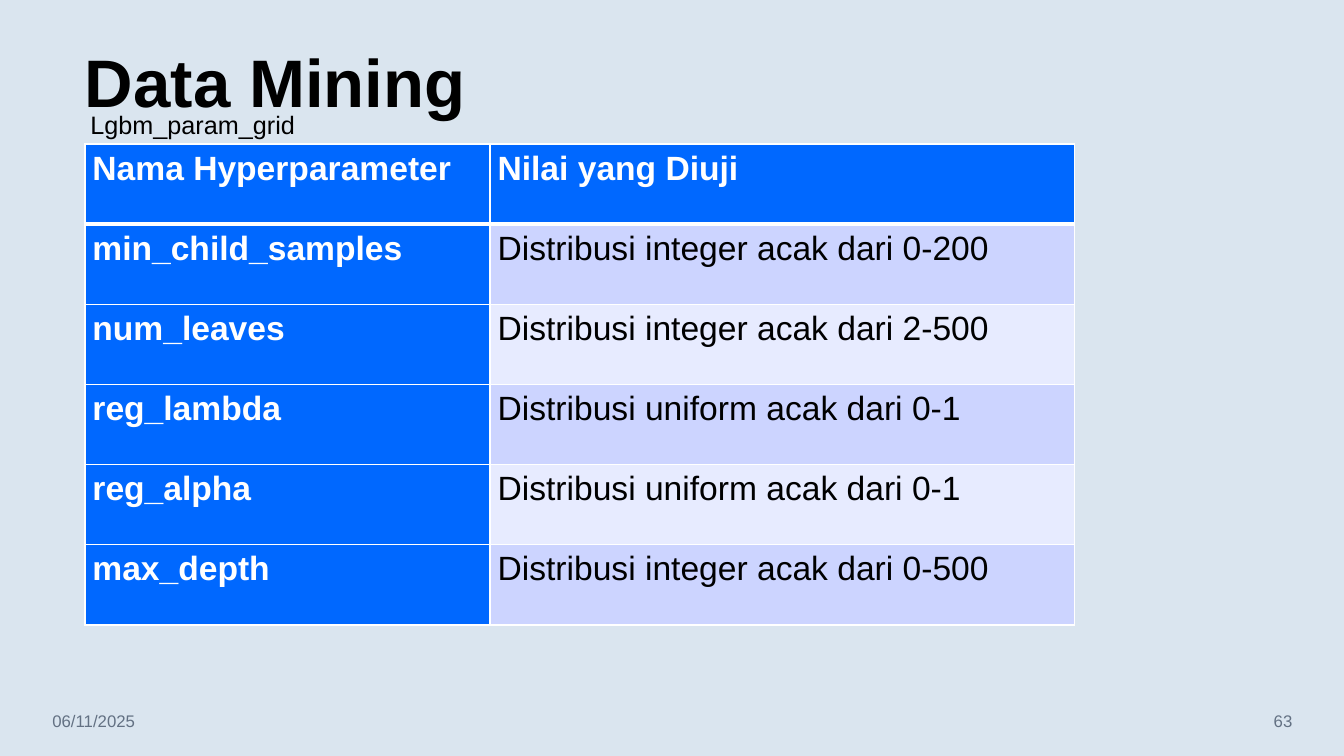
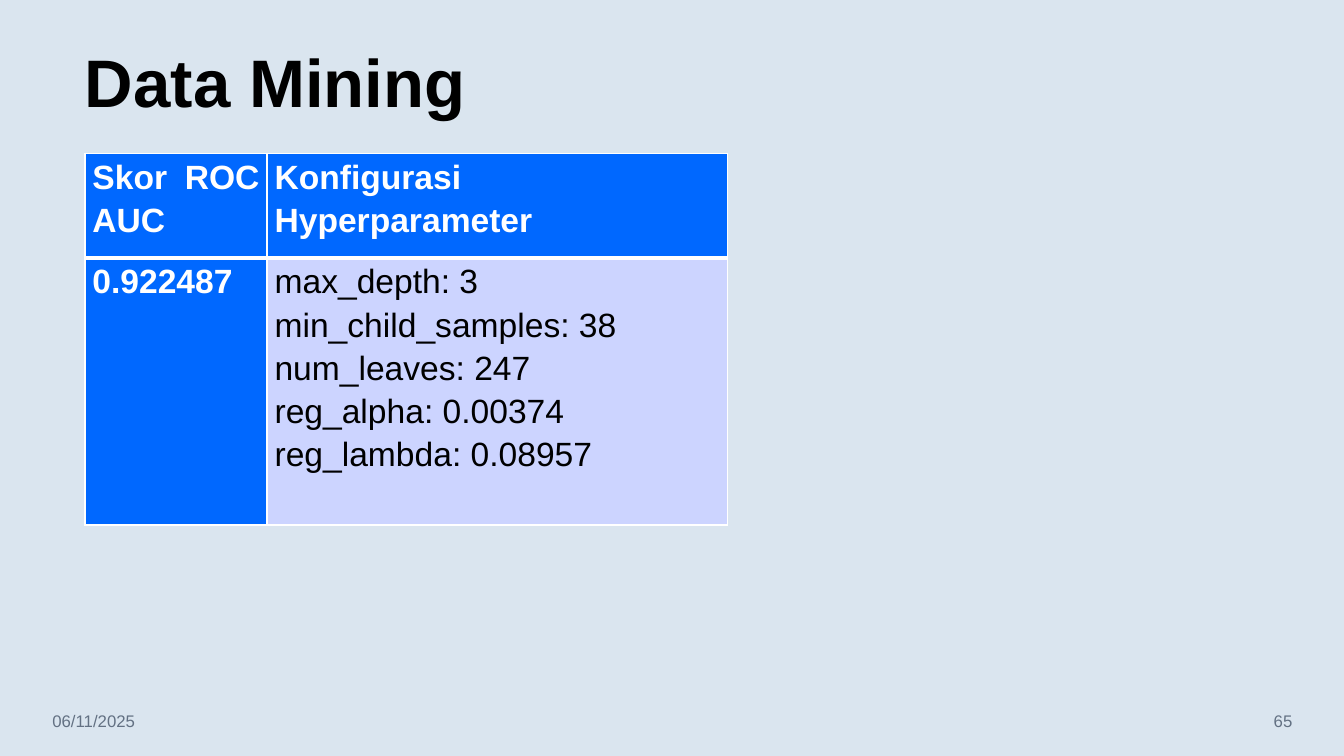
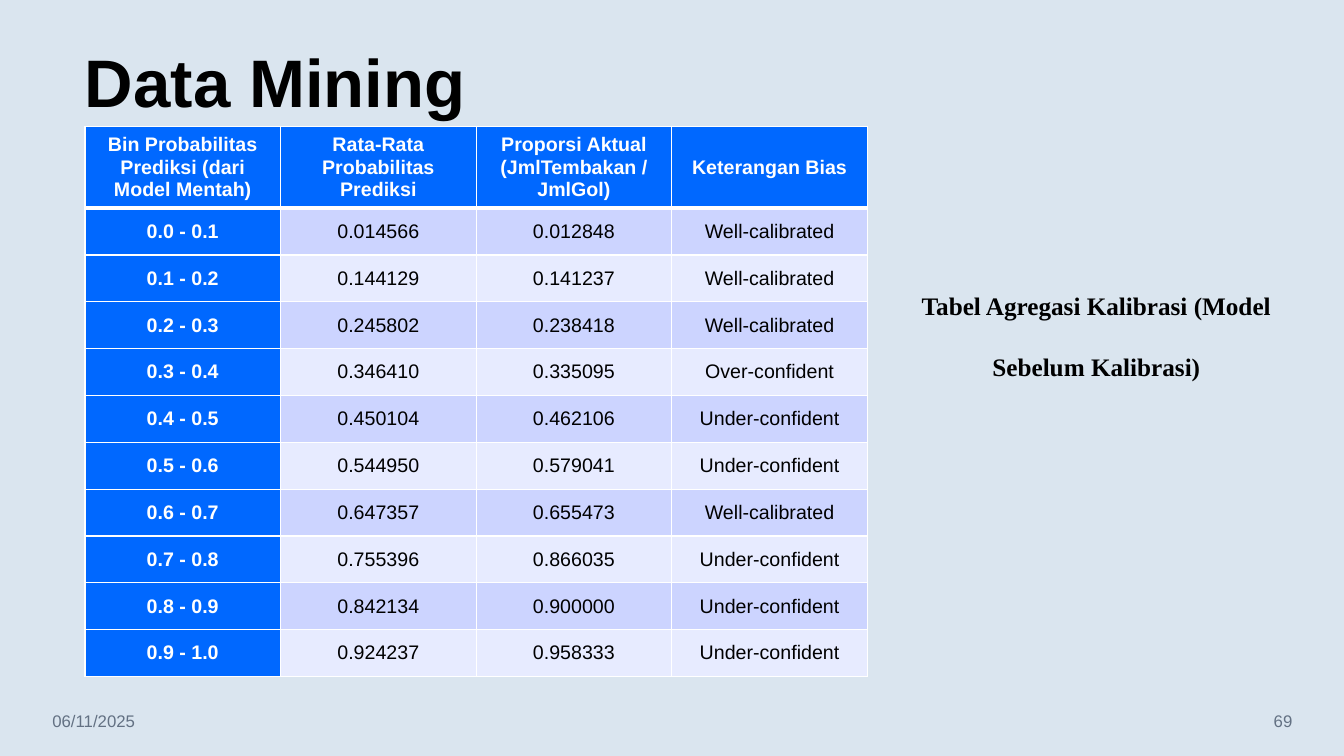
from dataclasses import dataclass

from lxml.etree import SubElement
from pptx import Presentation
from pptx.dml.color import RGBColor
from pptx.enum.text import MSO_ANCHOR as Anchor, MSO_AUTO_SIZE as AutoSize, PP_ALIGN as Align
from pptx.oxml.ns import qn
from pptx.util import Cm, Pt


@dataclass(frozen=True)
class Theme:
    background: str = "DAE5EF"
    ink: str = "000000"
    muted: str = "637183"
    accent: str = "0068FF"
    white: str = "FFFFFF"
    bands: tuple = ("CCD4FF", "E7EBFF")
    font: str = "Arial"
    serif: str = "Times New Roman"
    title: int = 48
    large: int = 24
    caption: int = 18
    small: int = 14
    footer: int = 12
    rule: int = 1
    header_rule: int = 3


THEME = Theme()

# Content
TITLE = "Data Mining"
DATE = "06/11/2025"

GRID_ROWS = [
    ("Nama Hyperparameter", "Nilai yang Diuji"),
    ("min_child_samples", "Distribusi integer acak dari 0-200"),
    ("num_leaves", "Distribusi integer acak dari 2-500"),
    ("reg_lambda", "Distribusi uniform acak dari 0-1"),
    ("reg_alpha", "Distribusi uniform acak dari 0-1"),
    ("max_depth", "Distribusi integer acak dari 0-500"),
]
SCORE_ROWS = [
    ("Skor ROC AUC", "Konfigurasi Hyperparameter"),
    ("0.922487", "max_depth: 3\nmin_child_samples: 38\nnum_leaves: 247\n"
                 "reg_alpha: 0.00374\nreg_lambda: 0.08957"),
]
CALIBRATION_ROWS = [
    ("Bin Probabilitas Prediksi (dari Model Mentah)", "Rata-Rata Probabilitas Prediksi",
     "Proporsi Aktual (JmlTembakan / JmlGol)", "Keterangan Bias"),
    ("0.0 - 0.1", "0.014566", "0.012848", "Well-calibrated"),
    ("0.1 - 0.2", "0.144129", "0.141237", "Well-calibrated"),
    ("0.2 - 0.3", "0.245802", "0.238418", "Well-calibrated"),
    ("0.3 - 0.4", "0.346410", "0.335095", "Over-confident"),
    ("0.4 - 0.5", "0.450104", "0.462106", "Under-confident"),
    ("0.5 - 0.6", "0.544950", "0.579041", "Under-confident"),
    ("0.6 - 0.7", "0.647357", "0.655473", "Well-calibrated"),
    ("0.7 - 0.8", "0.755396", "0.866035", "Under-confident"),
    ("0.8 - 0.9", "0.842134", "0.900000", "Under-confident"),
    ("0.9 - 1.0", "0.924237", "0.958333", "Under-confident"),
]

# Table looks: text size, alignment, anchor, line spacing, margins (side, top) in cm
ROOMY = dict(size=THEME.large, align=Align.LEFT, anchor=Anchor.TOP, spacing=1.15, margins=(0.19, 0))
JUSTIFIED = {**ROOMY, "align": Align.JUSTIFY}
COMPACT = dict(size=THEME.small, align=Align.CENTER, anchor=Anchor.MIDDLE, spacing=1, margins=(0.2, 0.2))

# Lengths in cm; heights are header row, then body rows
SLIDES = [
    dict(number="63",
         table=dict(rows=GRID_ROWS, top=3.63, widths=(10.21, 14.73), heights=(2.02, 2.02), look=ROOMY),
         caption=dict(text="Lgbm_param_grid", box=(2.03, 2.62, 5.66, 1.02), size=THEME.caption)),
    dict(number="65",
         table=dict(rows=SCORE_ROWS, top=3.86, widths=(4.59, 11.6), heights=(2.64, 6.73), look=JUSTIFIED)),
    dict(number="69",
         table=dict(rows=CALIBRATION_ROWS, top=3.18, widths=(4.93,) * 4, heights=(2.04, 1.18), look=COMPACT),
         caption=dict(text="Tabel Agregasi Kalibrasi (Model Sebelum Kalibrasi)",
                      box=(22.45, 6.43, 10.36, 3.1), size=THEME.caption, bold=True,
                      font=THEME.serif, align=Align.CENTER, spacing=2)),
]
LEFT = 2.14


def style_text(frame, size, color=THEME.ink, bold=False, font=THEME.font, align=Align.LEFT, spacing=1):
    for paragraph in frame.paragraphs:
        paragraph.alignment = align
        paragraph.line_spacing = spacing
        paragraph.font.size = Pt(size)
        paragraph.font.name = font
        paragraph.font.bold = bold
        paragraph.font.color.rgb = RGBColor.from_string(color)


def add_text(slide, text, box, anchor=Anchor.TOP, **style):
    frame = slide.shapes.add_textbox(*map(Cm, box)).text_frame
    frame.word_wrap = True
    frame.auto_size = AutoSize.NONE
    frame.vertical_anchor = anchor
    frame.text = text
    style_text(frame, **style)
    return frame


def set_borders(cell, row_index):
    heavy_side = {0: "B", 1: "T"}.get(row_index)
    properties = cell._tc.get_or_add_tcPr()
    for side in "LRTB":
        weight = THEME.header_rule if side == heavy_side else THEME.rule
        line = SubElement(properties, qn(f"a:ln{side}"), w=str(Pt(weight)))
        SubElement(SubElement(line, qn("a:solidFill")), qn("a:srgbClr"), val=THEME.white)


def add_data_table(slide, rows, top, widths, heights, look):
    row_heights = [heights[0]] + [heights[1]] * (len(rows) - 1)
    table = slide.shapes.add_table(len(rows), len(widths), Cm(LEFT), Cm(top),
                                   Cm(sum(widths)), Cm(sum(row_heights))).table
    for column, width in zip(table.columns, widths):
        column.width = Cm(width)
    for row, height in zip(table.rows, row_heights):
        row.height = Cm(height)

    side_margin, top_margin = map(Cm, look["margins"])
    for row_index, values in enumerate(rows):
        for column_index, value in enumerate(values):
            cell = table.cell(row_index, column_index)
            heading = row_index == 0 or column_index == 0
            cell.text = value
            cell.margin_left = cell.margin_right = side_margin
            cell.margin_top = cell.margin_bottom = top_margin
            cell.vertical_anchor = look["anchor"]
            style_text(cell.text_frame, look["size"], THEME.white if heading else THEME.ink,
                       bold=heading, align=look["align"], spacing=look["spacing"])
            set_borders(cell, row_index)
            fill = THEME.accent if heading else THEME.bands[(row_index - 1) % 2]
            cell.fill.solid()
            cell.fill.fore_color.rgb = RGBColor.from_string(fill)


def add_frame(slide, number):
    """Background, title and footer shared by every slide."""
    slide.background.fill.solid()
    slide.background.fill.fore_color.rgb = RGBColor.from_string(THEME.background)
    title = add_text(slide, TITLE, (LEFT, 0.97, 29.67, 2.24), Anchor.BOTTOM,
                     size=THEME.title, bold=True, spacing=0.9)
    title.margin_left = 0
    for text, left, align in ((DATE, 1.07, Align.LEFT), (number, 25.2, Align.RIGHT)):
        add_text(slide, text, (left, 17.65, 7.62, 1.02), Anchor.MIDDLE,
                 size=THEME.footer, color=THEME.muted, align=align)


def main():
    presentation = Presentation()
    presentation.slide_width, presentation.slide_height = Cm(33.87), Cm(19.05)
    blank = presentation.slide_layouts[6]
    for content in SLIDES:
        slide = presentation.slides.add_slide(blank)
        add_frame(slide, content["number"])
        add_data_table(slide, **content["table"])
        if "caption" in content:
            add_text(slide, **content["caption"])
    presentation.save("out.pptx")


if __name__ == "__main__":
    main()
